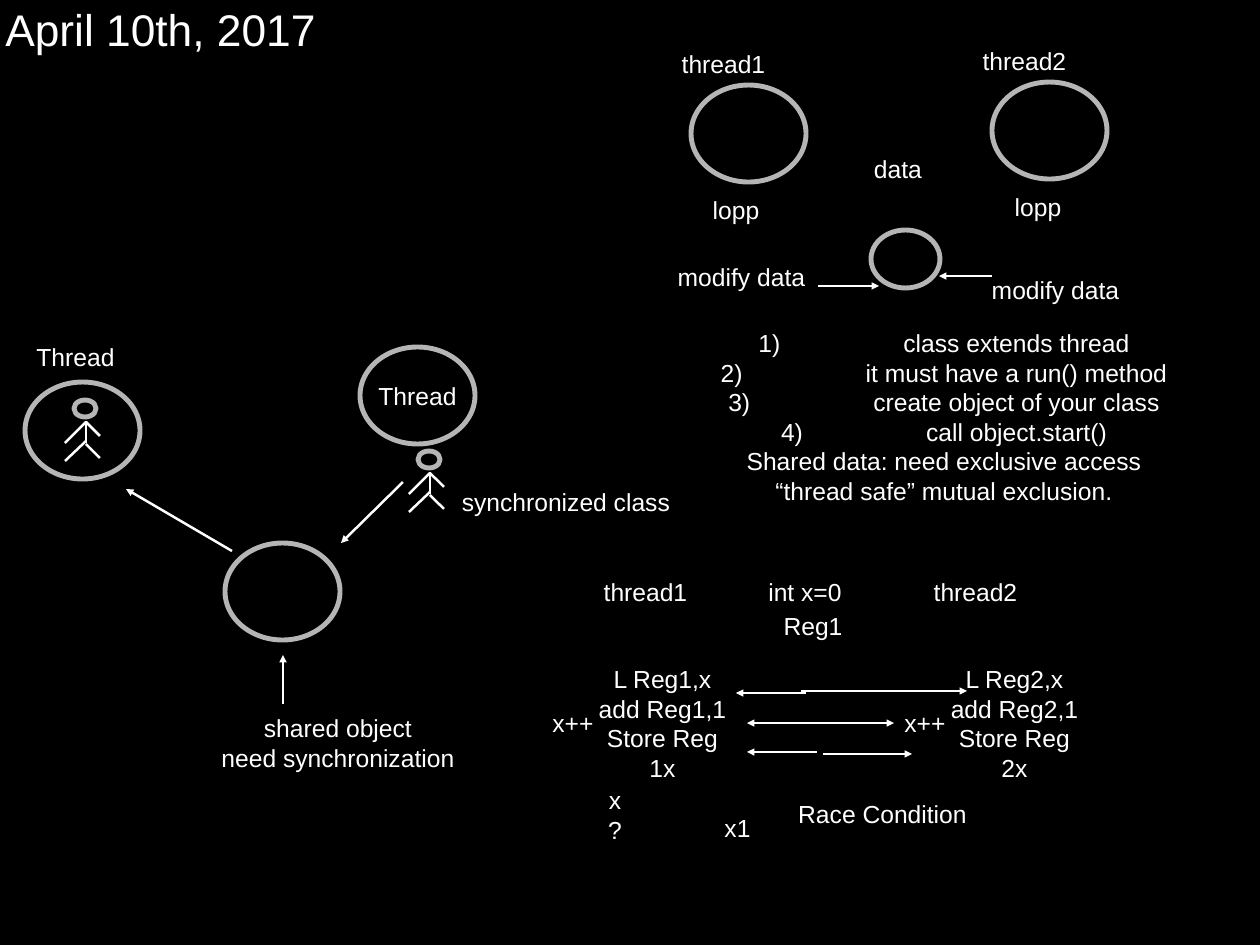
import lxml.etree
import pptx
import pptx.dml.color
import pptx.enum.shapes
import pptx.enum.text
import pptx.oxml.ns
import pptx.util

PX = 10320
SLIDE_SIZE = (1260, 945)
WHITE = "FFFFFF"
BLACK = "000000"
LABEL_HEIGHT = 39
LIST_INDENT = 145

THREAD_SIZE = (115, 97)
DATA_SIZE = (69, 58)
HEAD_SIZE = (22, 17)

threads = [(360, 347), (225, 543), (25, 382), (691, 85), (992, 82)]
data_object = (871, 230)

people = [(418, 451), (74, 400)]
limbs = [
    ((12, 43), (12, 21)),
    ((-9, 61), (12, 41)),
    ((-9, 43), (12, 22)),
    ((12, 22), (26, 36)),
    ((12, 44), (26, 58)),
]

arrows = [
    ((283, 704), (283, 655)),
    ((403, 482), (341, 543)),
    ((232, 551), (126, 489)),
    ((992, 276), (939, 276)),
    ((818, 286), (879, 286)),
    ((808, 723), (894, 723)),
    ((823, 754), (912, 754)),
    ((801, 691), (967, 691)),
    ((806, 693), (736, 693)),
    ((816, 723), (747, 723)),
    ((817, 752), (747, 752)),
]

title = ("April 10th, 2017", -1, -3, 323)

labels = [
    ("Thread", 373, 376, 89),
    ("Thread", 31, 337, 89),
    ("synchronized class", 455, 482, 222),
    ("thread1", 676, 44, 95),
    ("lopp", 706, 190, 60),
    ("modify data", 671, 257, 141),
    ("data", 868, 149, 60),
    ("thread2", 977, 41, 95),
    ("lopp", 1008, 187, 60),
    ("modify data", 985, 270, 141),
    ("thread1", 598, 572, 95),
    ("thread2", 928, 572, 95),
    ("int x=0", 762, 572, 86),
    ("Reg1", 778, 606, 70),
    ("x++", 545, 703, 56),
    ("x++", 897, 703, 56),
    ("x1", 719, 808, 37),
    ("Race Condition", 792, 794, 181),
]

shared_note = (["shared object", "need synchronization"], 215, 708, 246)

steps = [
    "class extends thread",
    "it must have a run() method",
    "create object of your class",
    "call object.start()",
]
remarks = [
    "Shared data: need exclusive access",
    "“thread safe” mutual exclusion.",
]

wrapped = [
    (["L Reg1,x", "add Reg1,1", "Store Reg 1x"], 590, 664, 145, 118),
    (["L Reg2,x", "add Reg2,1", "Store Reg 2x"], 942, 664, 145, 118),
    (["x?"], 601, 780, 28, 69),
]

deck = pptx.Presentation()
deck.slide_width, deck.slide_height = [side * PX for side in SLIDE_SIZE]
slide = deck.slides.add_slide(deck.slide_layouts[6])


def color(code):
    return pptx.dml.color.RGBColor.from_string(code)


def add_xml(parent, tag, **attributes):
    lxml.etree.SubElement(parent, pptx.oxml.ns.qn(tag), attributes)


def add_text(lines, left, top, width, height=LABEL_HEIGHT, size=20, wrap=False, numbered=0):
    box = slide.shapes.add_textbox(left * PX, top * PX, width * PX, height * PX)
    frame = box.text_frame
    frame.word_wrap = wrap
    frame.vertical_anchor = pptx.enum.text.MSO_ANCHOR.MIDDLE
    frame.margin_left = frame.margin_right = 5 * PX
    frame.margin_top = frame.margin_bottom = 5 * PX
    for index, line in enumerate(lines):
        paragraph = frame.paragraphs[0] if index == 0 else frame.add_paragraph()
        paragraph.alignment = pptx.enum.text.PP_ALIGN.CENTER
        if index < numbered:
            properties = paragraph._p.get_or_add_pPr()
            properties.set("marL", str(LIST_INDENT * PX))
            properties.set("indent", str(-LIST_INDENT * PX))
            add_xml(properties, "a:buFont", typeface="Arial")
            add_xml(properties, "a:buAutoNum", type="arabicParenR")
        run = paragraph.add_run()
        run.text = line
        run.font.name = "Arial"
        run.font.size = pptx.util.Pt(size)
        run.font.color.rgb = color(WHITE)


def add_ring(corner, size):
    ring = slide.shapes.add_shape(
        pptx.enum.shapes.MSO_SHAPE.OVAL, *[length * PX for length in (*corner, *size)])
    ring.shadow.inherit = False
    ring.fill.background()
    ring.line.color.rgb = color(WHITE)
    ring.line.width = pptx.util.Pt(4)
    tint = ring.line._ln.find(".//" + pptx.oxml.ns.qn("a:srgbClr"))
    add_xml(tint, "a:alpha", val="71000")


def add_line(start, end, arrow=False):
    line = slide.shapes.add_connector(
        pptx.enum.shapes.MSO_CONNECTOR.STRAIGHT, *[place * PX for place in (*start, *end)])
    line.line.color.rgb = color(WHITE)
    line.line.width = pptx.util.Pt(2)
    if arrow:
        add_xml(line.line._ln, "a:tailEnd", type="triangle")
    add_xml(line._element.spPr, "a:effectLst")


slide.background.fill.solid()
slide.background.fill.fore_color.rgb = color(BLACK)

for thread in threads:
    add_ring(thread, THREAD_SIZE)
add_ring(data_object, DATA_SIZE)

for x, y in people:
    add_ring((x, y), HEAD_SIZE)
    for (x1, y1), (x2, y2) in limbs:
        add_line((x + x1, y + y1), (x + x2, y + y2))

for start, end in arrows:
    add_line(start, end, arrow=True)

add_text([title[0]], *title[1:], height=63, size=36)
for label, *place in labels:
    add_text([label], *place)
add_text(*shared_note, height=69)
add_text(steps + remarks, 711, 323, 466, height=187, numbered=len(steps))
for lines, *place in wrapped:
    add_text(lines, *place, wrap=True)

deck.save("out.pptx")
